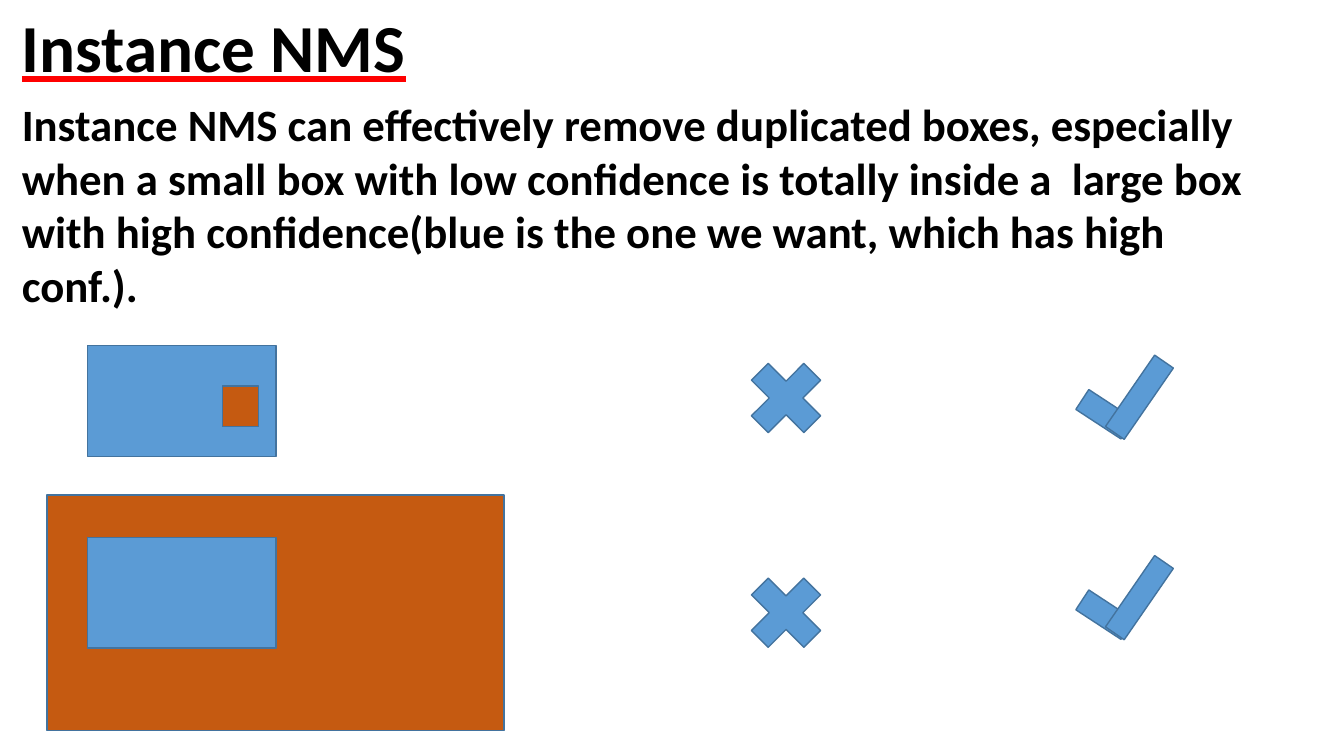
from dataclasses import dataclass

from lxml import etree
from pptx import Presentation
from pptx.dml.color import RGBColor
from pptx.enum.shapes import MSO_SHAPE
from pptx.enum.text import MSO_AUTO_SIZE
from pptx.oxml.ns import qn
from pptx.util import Cm, Pt

RECT = MSO_SHAPE.RECTANGLE
CROSS = MSO_SHAPE.MATH_MULTIPLY
BAR = MSO_SHAPE.MATH_MINUS
GROW = MSO_AUTO_SIZE.SHAPE_TO_FIT_TEXT


@dataclass(frozen=True)
class Theme:
    font: str = "Calibri"
    ink: str = "000000"
    rule: str = "FF0000"
    blue: str = "5B9BD5"
    rust: str = "C55A11"
    edge: str = "43739E"
    head: int = 48
    body: int = 32
    line: int = 1


theme = Theme()
deck = Presentation()
deck.slide_width, deck.slide_height = Cm(33.87), Cm(19.05)
slide = deck.slides.add_slide(deck.slide_layouts[6])


def add_text(top, width, height, words, size):
    box = slide.shapes.add_textbox(Cm(0.3), Cm(top), Cm(width), Cm(height))
    frame = box.text_frame
    frame.word_wrap = True
    frame.auto_size = GROW
    run = frame.paragraphs[0].add_run()
    run.text = words
    run.font.size = Pt(size)
    run.font.bold = True
    run.font.color.rgb = RGBColor.from_string(theme.ink)
    run.font.name = theme.font
    return run


def add_mark(kind, left, top, width, height, fill=theme.blue, turn=0):
    """Draw one outlined shape, turned clockwise by the given degrees."""
    mark = slide.shapes.add_shape(kind, Cm(left), Cm(top), Cm(width), Cm(height))
    mark.rotation = turn
    mark.shadow.inherit = False
    mark.fill.solid()
    mark.fill.fore_color.rgb = RGBColor.from_string(fill)
    mark.line.color.rgb = RGBColor.from_string(theme.edge)
    mark.line.width = Pt(theme.line)


# Large low-confidence box, behind everything else
add_mark(RECT, 1.19, 12.47, 11.51, 5.94, theme.rust)

title = add_text(0, 18.59, 2.31, "Instance NMS", theme.head)
title.font.underline = True
# The underline has its own colour, which must precede the font element
under = etree.Element(qn("a:uFill"))
solid = etree.SubElement(under, qn("a:solidFill"))
etree.SubElement(solid, qn("a:srgbClr"), val=theme.rule)
title.font._element.find(qn("a:latin")).addprevious(under)

add_text(
    2.31, 31.55, 4.37,
    "Instance NMS can effectively remove duplicated boxes, especially when "
    "a small box with low confidence is totally inside a  large box with high "
    "confidence(blue is the one we want, which has high conf.).",
    theme.body,
)

# Wanted boxes, with the small low-confidence box inside the first
for top in (8.71, 13.54):
    add_mark(RECT, 2.21, top, 4.75, 2.79)
add_mark(RECT, 5.61, 9.73, 0.91, 1.02, theme.rust)

for top in (8.76, 14.17):
    add_mark(CROSS, 18.54, top, 2.54, 2.54)

# Each tick is a short bar and a long bar
for top in (8.79, 13.84):
    add_mark(BAR, 26.92, top + 0.38, 1.85, 2.54, turn=33.2)
    add_mark(BAR, 27.23, top, 2.97, 2.44, turn=304.6)

deck.save("out.pptx")
